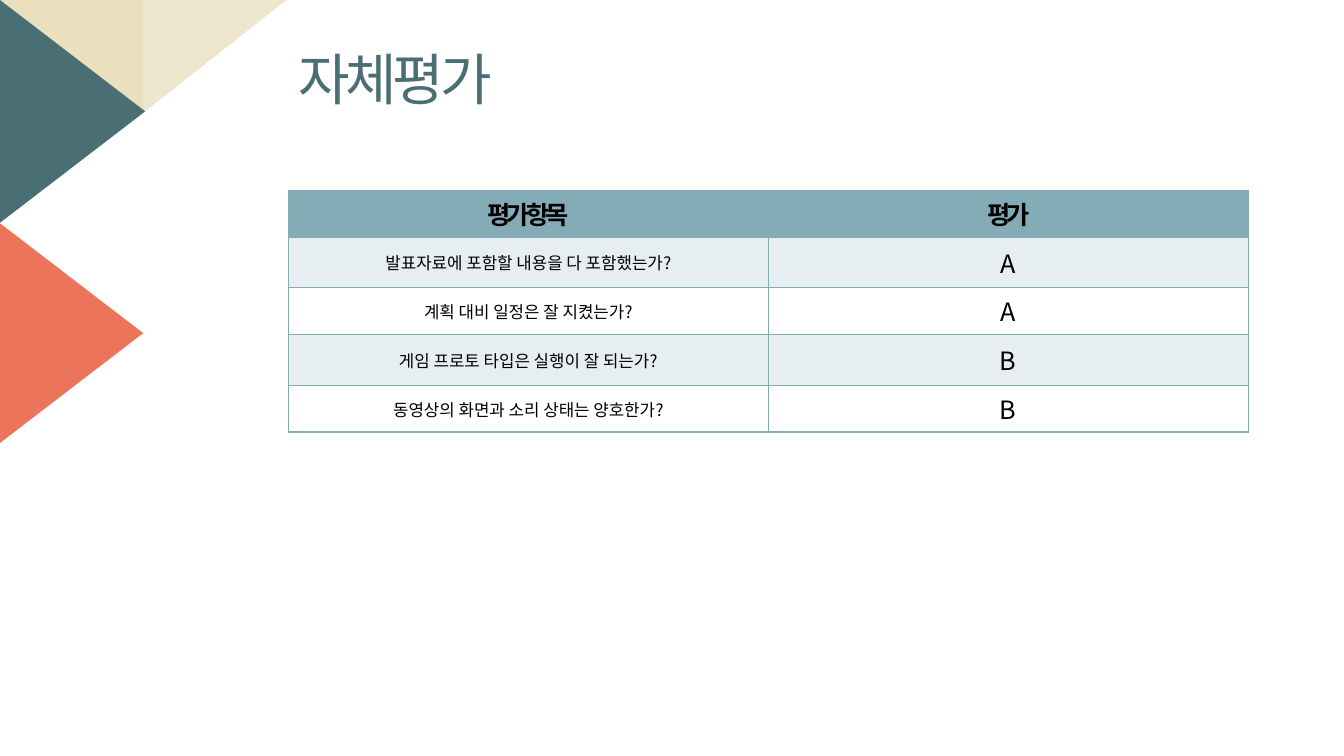
from lxml.etree import SubElement
from pptx import Presentation
from pptx.dml.color import RGBColor
from pptx.enum.shapes import MSO_SHAPE
from pptx.enum.text import MSO_ANCHOR, MSO_AUTO_SIZE, PP_ALIGN
from pptx.oxml.ns import qn
from pptx.util import Inches, Pt

TEAL, BLUE, BLACK = "496F74", "84ACB6", "000000"
SANS = "Noto Sans CJK KR"
ROWS = [
    ("평가 항목", "평가"),
    ("발표자료에 포함할 내용을 다 포함했는가?", "A"),
    ("계획 대비 일정은 잘 지켰는가?", "A"),
    ("게임 프로토 타입은 실행이 잘 되는가?", "B"),
    ("동영상의 화면과 소리 상태는 양호한가?", "B"),
]
HEIGHTS = [0.44, 0.5, 0.44, 0.51, 0.44]


def paint(fill, color):
    fill.solid()
    fill.fore_color.rgb = RGBColor.from_string(color)


def style(para, size, face, color, bold=False, gap=0):
    """Format a paragraph; gap is the letter spacing in points."""
    font = para.font
    font.size, font.bold, font.name = Pt(size), bold, face
    paint(font.fill, color)
    props = para._p.pPr.find(qn("a:defRPr"))
    props.set("spc", str(gap * 100))
    SubElement(props, qn("a:ea"), typeface=face)


def add_corner(slide, kind, turn, color, left, top, width, height):
    """Add a turned triangle that covers the given area."""
    wide, high = (height, width) if turn == 90 else (width, height)
    shape = slide.shapes.add_shape(
        kind,
        Inches(left + (width - wide) / 2), Inches(top + (height - high) / 2),
        Inches(wide), Inches(high))
    shape.rotation = turn
    shape.shadow.inherit = False
    shape.line.fill.background()
    paint(shape.fill, color)


def add_title(slide, text):
    title = slide.shapes.title
    title.left, title.top = Inches(2.86), Inches(0.47)
    title.width, title.height = Inches(3.18), Inches(0.77)
    frame = title.text_frame
    frame.text = text
    frame.word_wrap = True
    frame.auto_size = MSO_AUTO_SIZE.NONE
    frame.vertical_anchor = MSO_ANCHOR.TOP
    para = frame.paragraphs[0]
    para.alignment = PP_ALIGN.LEFT
    para.line_spacing = 0.9
    para.space_before = Pt(10)
    style(para, 40, "Noto Sans CJK TC", TEAL, gap=-3)


def set_border(cell, head):
    props = cell._tc.get_or_add_tcPr()
    for spot, side in enumerate("LRTB"):
        width = Pt(2 if head and side == "B" else 1)
        line = props.makeelement(qn(f"a:ln{side}"), {"w": str(width)})
        fill = SubElement(line, qn("a:solidFill"))
        SubElement(fill, qn("a:srgbClr"), val=BLUE)
        props.insert(spot, line)


def fill_cell(cell, text, row, col):
    head = row == 0
    cell.text = text
    cell.vertical_anchor = MSO_ANCHOR.MIDDLE
    para = cell.text_frame.paragraphs[0]
    para.alignment = PP_ALIGN.CENTER
    item = col == 0 and not head
    style(para, 12 if item else 18, SANS, BLACK, head, 0 if item else -3)

    # Solid header, then pale and clear rows in turn
    if head or row % 2:
        paint(cell.fill, BLUE)
    else:
        cell.fill.background()
    if row % 2:
        tint = cell._tc.tcPr.find(qn("a:solidFill"))[0]
        SubElement(tint, qn("a:alpha"), val="20000")
    set_border(cell, head)


def add_grid(slide):
    table = slide.shapes.add_table(
        len(ROWS), 2, Inches(2.86), Inches(1.89),
        Inches(9.52), Inches(sum(HEIGHTS))).table
    for row, (texts, height) in enumerate(zip(ROWS, HEIGHTS)):
        table.rows[row].height = Inches(height)
        for col, text in enumerate(texts):
            fill_cell(table.cell(row, col), text, row, col)


def main():
    deck = Presentation()
    deck.slide_width, deck.slide_height = Inches(13.33), Inches(7.5)
    slide = deck.slides.add_slide(deck.slide_layouts[5])

    # Corner triangles
    right, plain = MSO_SHAPE.RIGHT_TRIANGLE, MSO_SHAPE.ISOSCELES_TRIANGLE
    add_corner(slide, right, 180, "EAE0BE", 0, 0, 1.42, 1.12)
    add_corner(slide, right, 90, "EEE6CC", 1.42, 0, 1.42, 1.12)
    add_corner(slide, plain, 90, TEAL, 0, 0, 1.44, 2.21)
    add_corner(slide, plain, 90, "EC745B", -0.02, 2.2, 1.44, 2.21)

    # Title and rating table
    add_title(slide, "자체평가")
    add_grid(slide)
    deck.save("out.pptx")


if __name__ == "__main__":
    main()
